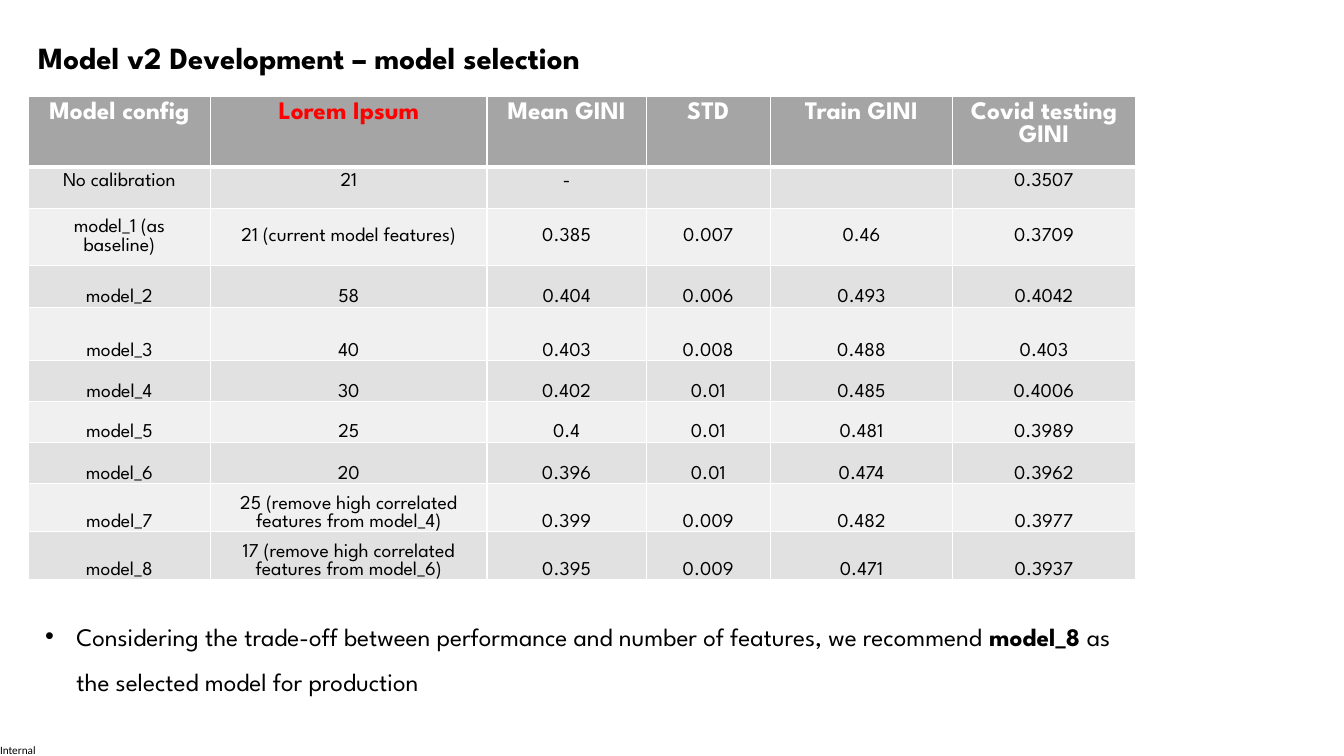
from dataclasses import dataclass

from lxml import etree
from pptx import Presentation
from pptx.dml.color import RGBColor
from pptx.enum.text import MSO_ANCHOR, MSO_AUTO_SIZE, PP_ALIGN
from pptx.oxml.ns import qn
from pptx.util import Inches, Pt

TOP, MIDDLE, BOTTOM = MSO_ANCHOR.TOP, MSO_ANCHOR.MIDDLE, MSO_ANCHOR.BOTTOM
CENTER = PP_ALIGN.CENTER
FIT_SHAPE = MSO_AUTO_SIZE.SHAPE_TO_FIT_TEXT
COLORS = {
    "text": "000000",
    "white": "FFFFFF",
    "header": "A5A5A5",
    "highlight": "FF0000",
    "dark_band": "E1E1E1",
    "light_band": "F0F0F0",
}
FONT = "League Spartan"
BORDER_SIDES = ("L", "R", "T", "B")
HEADER_BORDER, THIN_BORDER = 3, 1


@dataclass(frozen=True)
class Style:
    size: float
    color: str = "text"
    bold: bool = False
    font: str = FONT


@dataclass(frozen=True)
class ModelRow:
    height: float
    values: tuple[str, ...]
    anchor: MSO_ANCHOR = BOTTOM


HEADINGS = ModelRow(
    0.7,
    ("Model config", "Lorem Ipsum", "Mean GINI", "STD", "Train GINI", "Covid testing GINI"),
    TOP,
)
MODELS = (
    ModelRow(0.41, ("No calibration", "21", "-", "", "", "0.3507"), TOP),
    ModelRow(
        0.56,
        ("model_1 (as baseline)", "21 (current model features)", "0.385", "0.007", "0.46", "0.3709"),
        MIDDLE,
    ),
    ModelRow(0.41, ("model_2", "58", "0.404", "0.006", "0.493", "0.4042")),
    ModelRow(0.53, ("model_3", "40", "0.403", "0.008", "0.488", "0.403")),
    ModelRow(0.41, ("model_4", "30", "0.402", "0.01", "0.485", "0.4006")),
    ModelRow(0.4, ("model_5", "25", "0.4", "0.01", "0.481", "0.3989")),
    ModelRow(0.41, ("model_6", "20", "0.396", "0.01", "0.474", "0.3962")),
    ModelRow(
        0.48,
        ("model_7", "25 (remove high correlated features from model_4)", "0.399", "0.009", "0.482", "0.3977"),
    ),
    ModelRow(
        0.47,
        ("model_8", "17\u00a0(remove high correlated features from model_6)", "0.395", "0.009", "0.471", "0.3937"),
    ),
)
COLUMN_WIDTHS = (1.81, 2.74, 1.58, 1.23, 1.81, 1.81)


def rgb(name: str) -> RGBColor:
    return RGBColor.from_string(COLORS[name])


def format_font(font, style: Style) -> None:
    font.name = style.font
    font.size = Pt(style.size)
    font.bold = style.bold
    font.color.rgb = rgb(style.color)


def add_text(slide, left: float, top: float, width: float, height: float, parts):
    box = slide.shapes.add_textbox(Inches(left), Inches(top), Inches(width), Inches(height))
    frame = box.text_frame
    frame.word_wrap = True
    for text, style in parts:
        run = frame.paragraphs[0].add_run()
        run.text = text
        format_font(run.font, style)
    return frame


def set_borders(cell, widths: dict[str, float]) -> None:
    properties = cell._tc.get_or_add_tcPr()
    for side in BORDER_SIDES:
        line = etree.SubElement(properties, qn(f"a:ln{side}"), w=str(Pt(widths[side])))
        fill = etree.SubElement(line, qn("a:solidFill"))
        etree.SubElement(fill, qn("a:srgbClr"), val=COLORS["white"])


def fill_cell(cell, text: str, style: Style, anchor: MSO_ANCHOR, band: str,
              widths: dict[str, float]) -> None:
    set_borders(cell, widths)
    cell.fill.solid()
    cell.fill.fore_color.rgb = rgb(band)
    cell.vertical_anchor = anchor
    if anchor == BOTTOM:
        cell.margin_left = cell.margin_right = cell.margin_top = Inches(0.01)
        cell.margin_bottom = Inches(0)
    cell.text_frame.text = text
    paragraph = cell.text_frame.paragraphs[0]
    paragraph.alignment = CENTER
    for run in paragraph.runs:
        format_font(run.font, style)


def add_model_table(slide) -> None:
    rows = (HEADINGS, *MODELS)
    table = slide.shapes.add_table(
        len(rows), len(COLUMN_WIDTHS), Inches(0.28), Inches(0.96),
        Inches(sum(COLUMN_WIDTHS)), Inches(sum(row.height for row in rows)),
    ).table
    for column, width in zip(table.columns, COLUMN_WIDTHS):
        column.width = Inches(width)
    for index, row in enumerate(rows):
        table.rows[index].height = Inches(row.height)
        widths = dict.fromkeys(BORDER_SIDES, THIN_BORDER)
        if index == 0:
            widths["B"] = HEADER_BORDER
        elif index == 1:
            widths["T"] = HEADER_BORDER
        band = "header" if index == 0 else "dark_band" if index % 2 else "light_band"
        for position, text in enumerate(row.values):
            style = Style(14)
            if index == 0:
                style = Style(18, "highlight" if position == 1 else "white", True)
            fill_cell(table.cell(index, position), text, style, row.anchor, band, widths)


def add_recommendation(slide) -> None:
    plain = Style(18)
    frame = add_text(slide, 0.35, 5.96, 10.9, 0.95, (
        ("Considering the trade-off between performance and number of features, we recommend ", plain),
        ("model_8\u00a0", Style(18, bold=True)),
        ("as the selected model for production", plain),
    ))
    frame.auto_size = FIT_SHAPE
    paragraph = frame.paragraphs[0]
    paragraph.line_spacing = 1.5
    properties = paragraph._p.get_or_add_pPr()
    properties.set("marL", str(Inches(0.31)))
    properties.set("indent", str(Inches(-0.31)))
    etree.SubElement(properties, qn("a:buFont"), typeface="Arial")
    etree.SubElement(properties, qn("a:buChar"), char="•")


def main() -> None:
    deck = Presentation()
    deck.slide_width, deck.slide_height = Inches(13.33), Inches(7.5)
    slide = deck.slides.add_slide(deck.slide_layouts[6])

    classification = add_text(slide, 0, 7.37, 0.38, 0.13, (("Internal", Style(8, font="Calibri")),))
    classification.word_wrap = False
    classification.auto_size = FIT_SHAPE
    classification.margin_left = classification.margin_right = Inches(0)
    classification.margin_top = classification.margin_bottom = Inches(0)

    title = add_text(slide, 0.28, 0.22, 12.14, 0.74,
                     (("Model v2 Development – model selection", Style(22, bold=True)),))
    title.vertical_anchor = MIDDLE
    title.paragraphs[0].line_spacing = 0.9

    add_model_table(slide)
    add_recommendation(slide)
    deck.save("out.pptx")


main()
